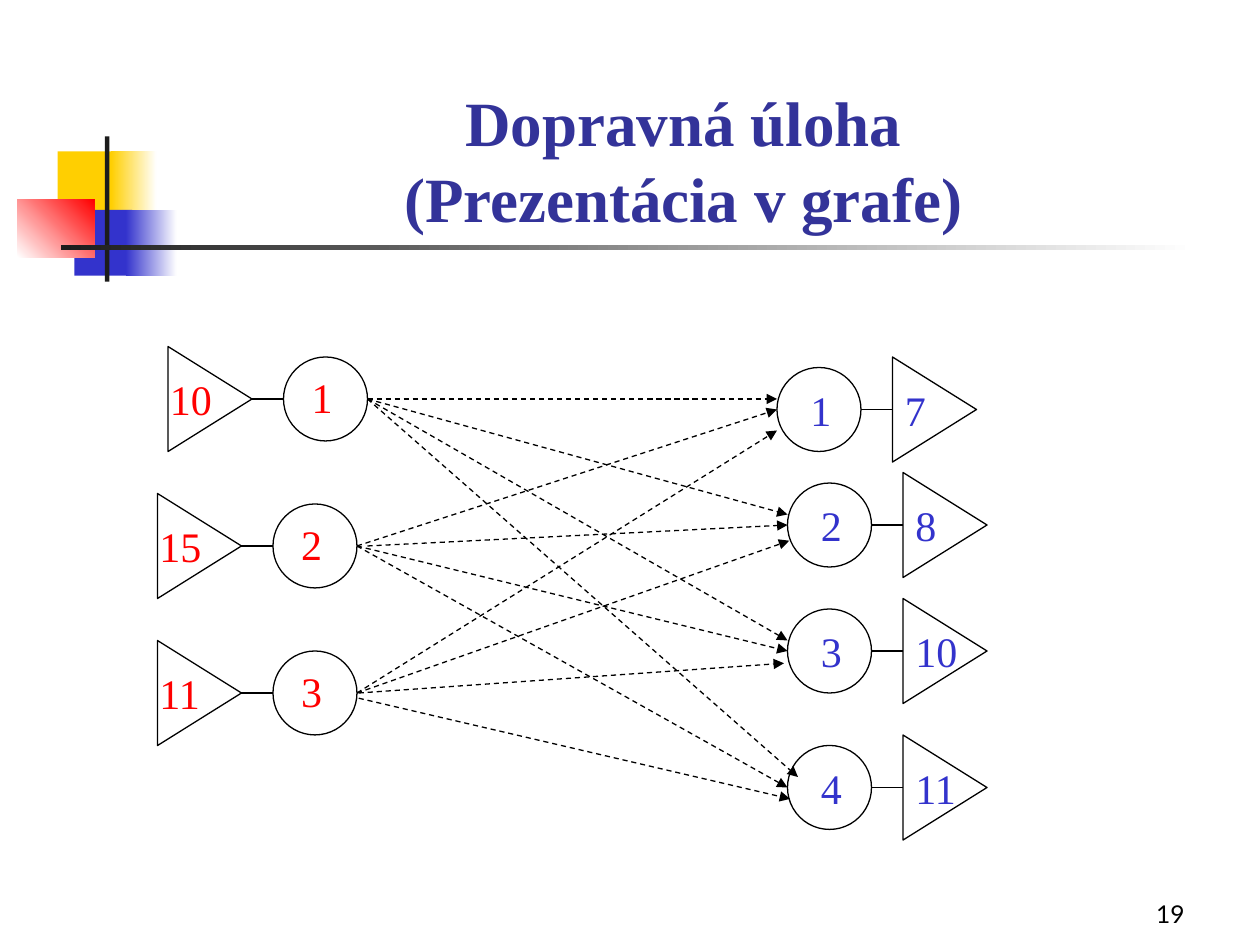
from lxml.etree import SubElement
from pptx import Presentation
from pptx.dml.color import RGBColor
from pptx.enum.dml import MSO_LINE
from pptx.enum.shapes import MSO_CONNECTOR, MSO_SHAPE
from pptx.enum.text import MSO_ANCHOR, PP_ALIGN
from pptx.oxml.ns import qn
from pptx.util import Pt

COLORS = {"yellow": "FFCF01", "blue": "3333CC", "red": "FF0000", "white": "FFFFFF",
          "dark": "1C1C1C", "title": "333399", "black": "000000"}
SERIF = "Times New Roman"
CIRCLE, LINK, TRIANGLE_HEIGHT = 48, 18, 60
SOURCES = [("1", "10", 96, 228), ("2", "15", 90, 312), ("3", "11", 90, 396)]
SINKS = [("1", "7", 444, 234), ("2", "8", 450, 300),
         ("3", "10", 450, 372), ("4", "11", 450, 450)]
START_SHIFTS = {(1, 1): (6, 0), (2, 2): (1, 0), (2, 3): (1, 3)}
END_SHIFTS = [[(0, -6), (0, -6), (0, -6), (6, -6)],
              [(0, 0)] * 4,
              [(0, 12), (1, 9), (-2, 7), (1.5, 6.5)]]


def rgb(color):
    """Return the named colour."""
    return RGBColor.from_string(COLORS[color])


def add_label(slide, box, text, color, size=24, font=SERIF, bold=False,
              align=PP_ALIGN.LEFT, anchor=MSO_ANCHOR.TOP, spacing=None):
    """Write text in a box of left, top, width and height."""
    frame = slide.shapes.add_textbox(*map(Pt, box)).text_frame
    frame.word_wrap = True
    frame.vertical_anchor = anchor
    frame.text = text
    for paragraph in frame.paragraphs:
        paragraph.alignment = align
        paragraph.line_spacing = spacing
        for run in paragraph.runs:
            run.font.name, run.font.size, run.font.bold = font, Pt(size), bold
            run.font.color.rgb = rgb(color)


def add_block(slide, box, start, end=None, angle=0):
    """Draw a borderless rectangle, plain or fading from start to end."""
    block = slide.shapes.add_shape(MSO_SHAPE.RECTANGLE, *map(Pt, box))
    block.shadow.inherit = False
    block.line.fill.background()
    if end is None:
        block.fill.solid()
        block.fill.fore_color.rgb = rgb(start)
        return
    block.fill.gradient()
    block.fill.gradient_angle = angle
    for stop, color in zip(block.fill.gradient_stops, (start, end)):
        stop.color.rgb = rgb(color)


def add_outline(slide, kind, left, top, width, height, rotation=0):
    """Draw an unfilled node outline."""
    outline = slide.shapes.add_shape(kind, Pt(left), Pt(top), Pt(width), Pt(height))
    outline.shadow.inherit = False
    outline.rotation = rotation
    outline.fill.background()
    outline.line.color.rgb = rgb("black")
    outline.line.width = Pt(0.75)


def add_line(slide, start, end, route=False):
    """Draw a link, or a dashed arrow when it is a route."""
    line = slide.shapes.add_connector(MSO_CONNECTOR.STRAIGHT, *map(Pt, (*start, *end)))
    line.line.color.rgb = rgb("black")
    line.line.width = Pt(0.75)
    if route:
        line.line.dash_style = MSO_LINE.DASH
        SubElement(line.line._get_or_add_ln(), qn("a:tailEnd"), type="triangle")
    SubElement(line._element.spPr, qn("a:effectLst"))


def add_node(slide, left, middle, number, amount, is_source):
    """Draw a numbered circle linked to the triangle holding its amount."""
    far = left + CIRCLE + LINK
    circle_left, triangle_left = (far, left) if is_source else (left, far)
    color = "red" if is_source else "blue"
    add_outline(slide, MSO_SHAPE.OVAL, circle_left, middle - CIRCLE / 2, CIRCLE, CIRCLE)
    add_outline(slide, MSO_SHAPE.ISOSCELES_TRIANGLE,
                triangle_left - (TRIANGLE_HEIGHT - CIRCLE) / 2, middle - CIRCLE / 2,
                TRIANGLE_HEIGHT, CIRCLE, 90)
    add_line(slide, (left + CIRCLE, middle), (far, middle))
    number_x, number_y, amount_x = (9, -19, -6) if is_source else (12, -18, 0)
    add_label(slide, (circle_left + number_x, middle + number_y, 30, 36), number, color)
    add_label(slide, (triangle_left + amount_x, middle - 18, 48, 36), amount, color)


def add_graph(slide, left, top):
    """Draw the sources, the sinks and every route between them."""
    for nodes, is_source in ((SOURCES, True), (SINKS, False)):
        for number, amount, x, y in nodes:
            add_node(slide, left + x, top + y, number, amount, is_source)
    for row, (_, _, source_x, source_y) in enumerate(SOURCES):
        exit_x = left + source_x + 2 * CIRCLE + LINK
        for column, (_, _, sink_x, sink_y) in enumerate(SINKS):
            start_dx, start_dy = START_SHIFTS.get((row, column), (0, 0))
            end_dx, end_dy = END_SHIFTS[row][column]
            add_line(slide, (exit_x + start_dx, top + source_y + start_dy),
                     (left + sink_x + end_dx, top + sink_y + end_dy), route=True)


def add_ornament(slide, left, top):
    """Draw the coloured squares and the crossing bars."""
    for x, y, width, height, *fill in (
            (23, 8.5, 34.5, 37.5, "yellow"),
            (53.5, 8.5, 26, 37.5, "yellow", "white"),
            (32.5, 42, 33, 37.5, "blue"),
            (62, 42, 29, 37.5, "blue", "white"),
            (0, 36, 44, 33, "white", "red", 45),
            (50, 0, 2.5, 83, "dark"),
            (25, 62.3, 648, 2.5, "dark", "white")):
        add_block(slide, (left + x, top + y, width, height), *fill)


def add_heading(slide, left, top, width, height):
    """Write the two-line title."""
    add_label(slide, (left, top, width, height), "Dopravná úloha\v(Prezentácia v grafe)",
              "title", 36, bold=True, align=PP_ALIGN.CENTER,
              anchor=MSO_ANCHOR.BOTTOM, spacing=Pt(43.4))


def main():
    """Build and save the slide."""
    deck = Presentation()
    deck.slide_width, deck.slide_height = Pt(720), Pt(540)
    slide = deck.slides.add_slide(deck.slide_layouts[6])
    add_ornament(slide, 10, 78)
    add_label(slide, (534, 498, 150, 36), "19", "black", 14, "Lato",
              align=PP_ALIGN.RIGHT, anchor=MSO_ANCHOR.BOTTOM)
    add_heading(slide, 84, 48, 613, 90)
    add_graph(slide, 0, 0)
    deck.save("out.pptx")


if __name__ == "__main__":
    main()
